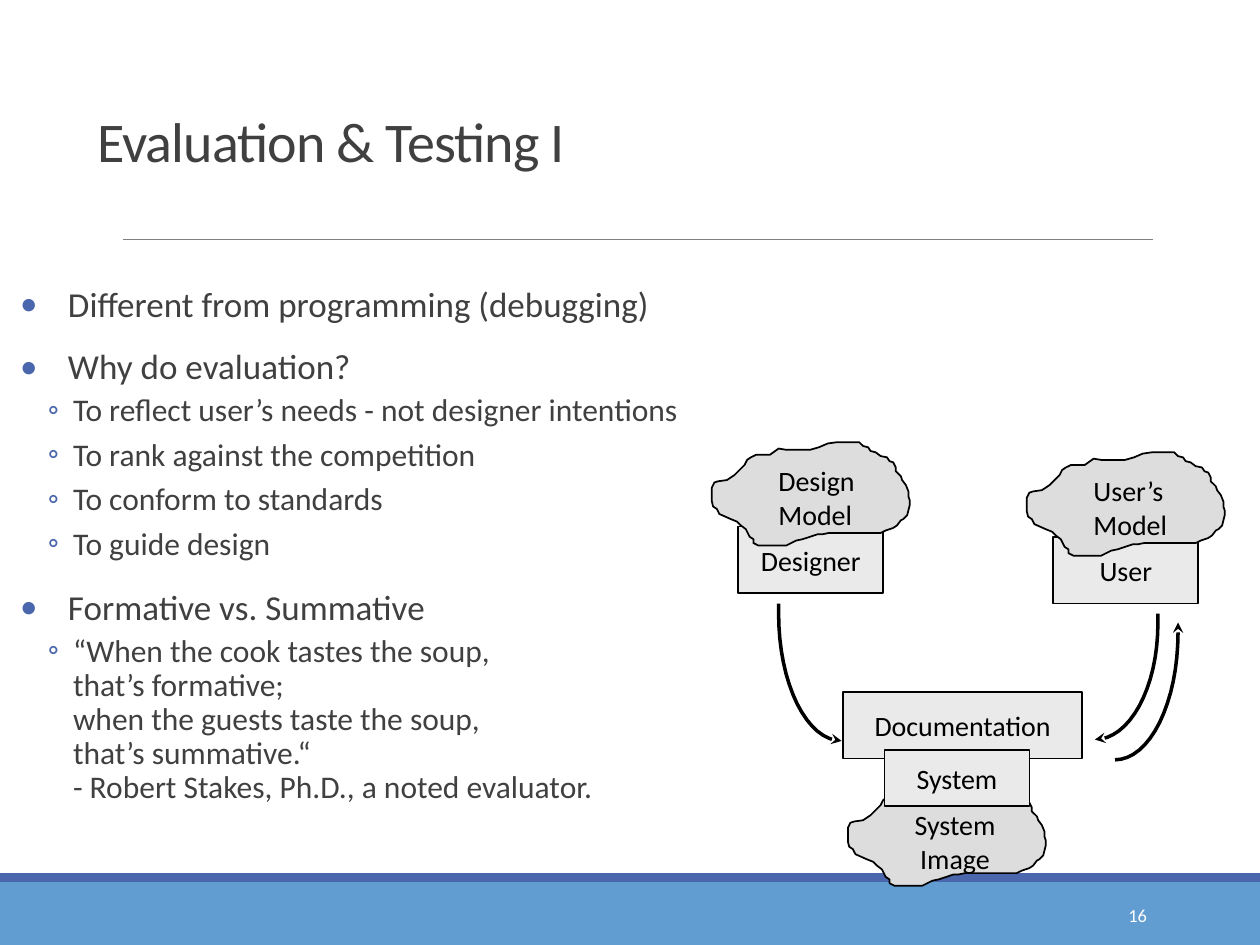
import math
from lxml import etree
from pptx import Presentation
from pptx import util as u
from pptx.dml.color import RGBColor
from pptx.enum import shapes, text
from pptx.oxml.ns import qn

COLORS = {
    "band": "629DD1", "accent": "4A66AC", "rule": "808080", "body": "404040",
    "box": "EAEAEA", "cloud": "DDDDDD", "ink": "000000", "page": "FFFFFF",
}
FONT = "Calibri"


def paint(part, fill, line=None, width=1):
    part.shadow.inherit = False
    if fill:
        part.fill.solid()
        part.fill.fore_color.rgb = RGBColor.from_string(COLORS[fill])
    else:
        part.fill.background()
    if line:
        part.line.color.rgb = RGBColor.from_string(COLORS[line])
        part.line.width = u.Pt(width)
    else:
        part.line.fill.background()


def write(paragraph, words, size, color, align=text.PP_ALIGN.LEFT):
    paragraph.alignment = align
    for i, line in enumerate(words.split("\n")):
        if i:
            paragraph.add_line_break()
        run = paragraph.add_run()
        run.text = line
        run.font.name = FONT
        run.font.size = u.Pt(size)
        run.font.color.rgb = RGBColor.from_string(COLORS[color])


deck = Presentation()
deck.slide_width, deck.slide_height = u.Inches(10), u.Inches(7.5)
slide = deck.slides.add_slide(deck.slide_layouts[5])
items = slide.shapes

for top, height, color in [(7, 0.5, "band"), (6.93, 0.07, "accent")]:
    strip = items.add_shape(shapes.MSO_SHAPE.RECTANGLE, 0, u.Inches(top),
                            deck.slide_width, u.Inches(height))
    paint(strip, color)

rule = items.add_connector(shapes.MSO_CONNECTOR.STRAIGHT, u.Inches(0.98), u.Inches(1.9),
                           u.Inches(9.15), u.Inches(1.9))
rule.line.color.rgb = RGBColor.from_string(COLORS["rule"])
rule.line.width = u.Pt(0.5)
etree.SubElement(rule._element.spPr, qn("a:effectLst"))

title = items.title
title.left, title.top = u.Inches(0.67), u.Inches(0.44)
title.width, title.height = u.Inches(8.36), u.Inches(0.99)
title.text_frame.vertical_anchor = text.MSO_ANCHOR.BOTTOM
title.text_frame.auto_size = text.MSO_AUTO_SIZE.NONE
heading = title.text_frame.paragraphs[0]
heading.line_spacing = 0.85
write(heading, "Evaluation & Testing I", 32, "body")
heading.runs[0].font._element.set("spc", "-50")

outline = [
    (0, "Different from programming (debugging)"),
    (0, "Why do evaluation?"),
    (1, "To reflect user’s needs - not designer intentions"),
    (1, "To rank against the competition"),
    (1, "To conform to standards"),
    (1, "To guide design"),
    (0, "Formative vs. Summative"),
    (1, "“When the cook tastes the soup,\nthat’s formative;\nwhen the guests taste the soup,\n"
        "that’s summative.“\n- Robert Stakes, Ph.D., a noted evaluator."),
]
LEVELS = [
    {"size": 20, "before": 12, "after": 2, "margin": 0.38, "hang": 0.38, "bullet": "•"},
    {"size": 18, "before": 2, "after": 4, "margin": 0.42, "hang": 0.2, "bullet": "◦"},
]
body = items.add_textbox(u.Inches(0.16), u.Inches(2.23), u.Inches(9), u.Inches(4.95)).text_frame
body.word_wrap = True
body.margin_left = body.margin_right = 0
for i, (level, words) in enumerate(outline):
    point = body.add_paragraph() if i else body.paragraphs[0]
    style = LEVELS[level]
    point.level = level
    point.line_spacing = 0.9
    point.space_before, point.space_after = u.Pt(style["before"]), u.Pt(style["after"])
    write(point, words, style["size"], "body")
    props = point._p.get_or_add_pPr()
    props.set("marL", str(u.Inches(style["margin"])))
    props.set("indent", str(-u.Inches(style["hang"])))
    bullet_color = etree.SubElement(props, qn("a:buClr"))
    etree.SubElement(bullet_color, qn("a:srgbClr"), val=COLORS["accent"])
    etree.SubElement(props, qn("a:buFont"), typeface=FONT)
    etree.SubElement(props, qn("a:buChar"), char=style["bullet"])

number = items.add_textbox(u.Inches(8.12), u.Inches(7.06), u.Inches(1.08), u.Inches(0.4)).text_frame
number.word_wrap = True
number.vertical_anchor = text.MSO_ANCHOR.MIDDLE
write(number.paragraphs[0], "16", 10.5, "page", text.PP_ALIGN.RIGHT)

CLOUD = [
    (53, 5), (59, 6), (78, 6), (85, 4), (92, 1), (99, 0), (117, 0), (120, 3), (124, 4),
    (126, 7), (130, 8), (134, 11), (139, 12), (141, 15), (144, 16), (146, 20), (146, 23),
    (150, 27), (151, 30), (154, 34), (156, 39), (156, 43), (157, 46), (157, 50), (155, 58),
    (152, 61), (150, 62), (147, 66), (144, 68), (138, 70), (134, 72), (93, 72), (88, 73),
    (84, 73), (78, 75), (72, 77), (67, 78), (63, 80), (59, 82), (37, 82), (33, 80), (33, 77),
    (30, 75), (27, 69), (23, 66), (20, 63), (15, 61), (6, 57), (4, 53), (1, 51), (0, 47),
    (0, 36), (2, 32), (5, 31), (12, 30), (15, 28), (18, 26), (21, 23), (23, 21), (26, 18),
    (28, 14), (31, 12), (35, 10), (46, 10),
]
LEFT, CENTER = text.PP_ALIGN.LEFT, text.PP_ALIGN.CENTER
model_parts = [
    ("box", "Designer", 5.86, 4.18, 1.15, 0.53),
    ("cloud", None, 5.65, 3.51, 1.58, 0.82),
    ("label", "Design\nModel", 6.08, 3.63, 0.89, 0.64, LEFT),
    ("box", "User", 8.36, 4.26, 1.15, 0.53),
    ("cloud", None, 8.15, 3.59, 1.58, 0.82),
    ("label", "User’s\nModel", 8.58, 3.71, 0.89, 0.64, LEFT),
    ("box", "Documentation", 6.69, 5.49, 1.9, 0.53),
    ("cloud", None, 6.73, 6.21, 1.58, 0.82),
    ("box", "System", 7.02, 5.95, 1.15, 0.45),
    ("label", "System\nImage", 7.06, 6.36, 1.04, 0.64, CENTER),
]
for kind, words, *place in model_parts:
    left, top, width, height = [u.Inches(n) for n in place[:4]]
    if kind == "cloud":
        pen = items.build_freeform(*CLOUD[0], scale=u.Inches(0.01))
        pen.add_line_segments(CLOUD[1:], close=True)
        paint(pen.convert_to_shape(left, top), "cloud", "ink")
    elif kind == "box":
        box = items.add_shape(shapes.MSO_SHAPE.RECTANGLE, left, top, width, height)
        paint(box, "box", "ink")
        box.text_frame.word_wrap = False
        box.text_frame.vertical_anchor = text.MSO_ANCHOR.MIDDLE
        write(box.text_frame.paragraphs[0], words, 16, "ink", CENTER)
    else:
        label = items.add_textbox(left, top, width, height).text_frame
        label.word_wrap = True
        for i, line in enumerate(words.split("\n")):
            row = label.add_paragraph() if i else label.paragraphs[0]
            write(row, line, 16, "ink", place[4])

STEPS = 16
arrows = [
    (6.18, 4.79, 6.68, 5.88, "tailEnd"),
    (9.35, 4.94, 8.85, 6.03, "headEnd"),
    (9.19, 4.87, 8.69, 5.87, "tailEnd"),
]
for side, top, foot, bottom, end in arrows:
    bend = top + 0.08
    curve = [(u.Inches(side), u.Inches(top))]
    for step in range(STEPS + 1):
        angle = math.pi / 2 * step / STEPS
        curve.append((u.Inches(foot + (side - foot) * math.cos(angle)),
                      u.Inches(bend + (bottom - bend) * math.sin(angle))))
    pen = items.build_freeform(*curve[0])
    pen.add_line_segments(curve[1:], close=False)
    arrow = pen.convert_to_shape()
    paint(arrow, None, "ink", 2)
    etree.SubElement(arrow.line._get_or_add_ln(), qn("a:" + end), type="stealth")

deck.save("out.pptx")
